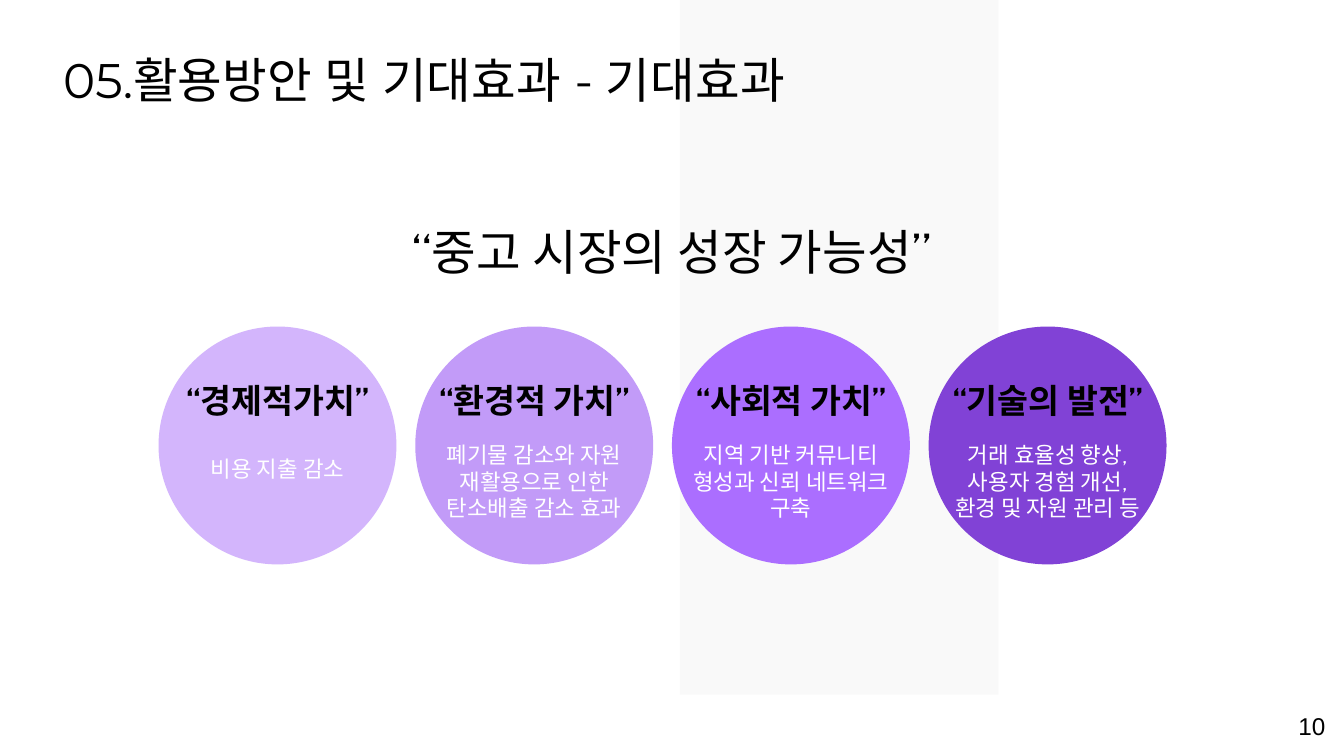
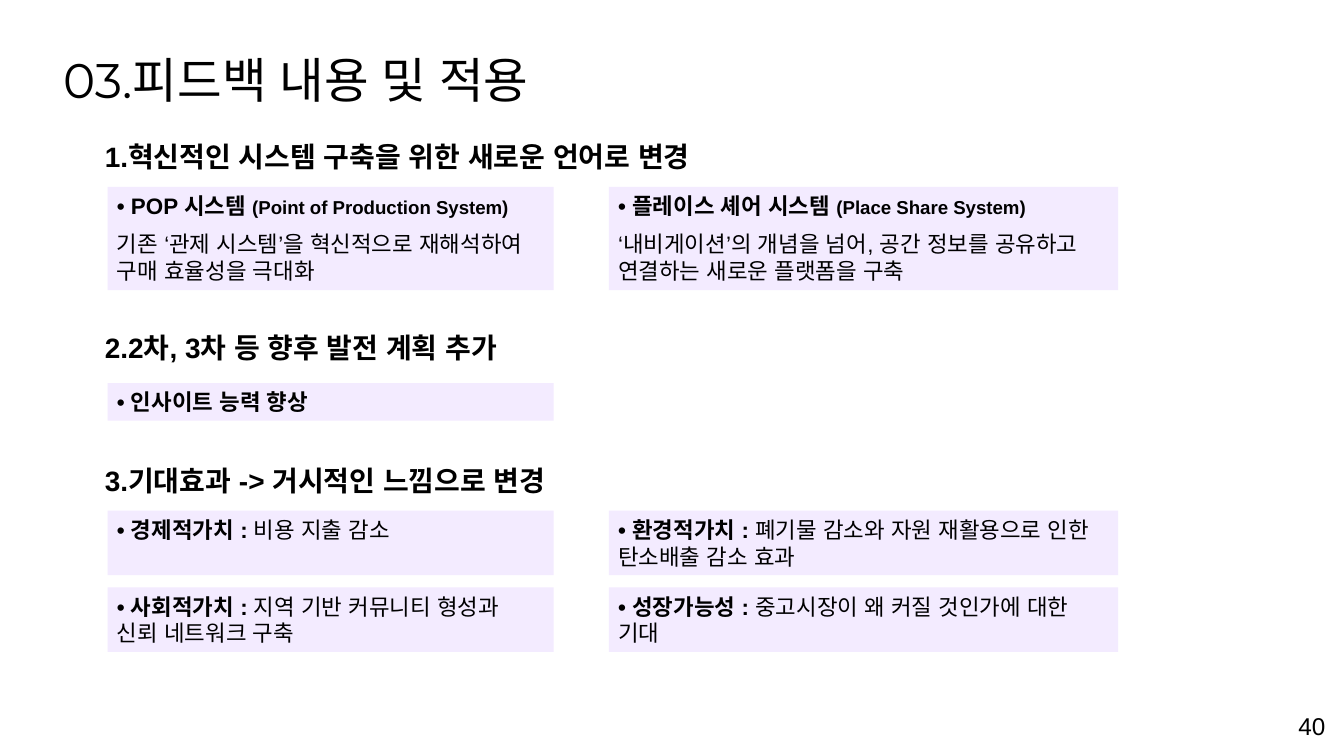
"""Builds two slides: the expected effects and the feedback applied."""
from lxml.etree import SubElement
from pptx import Presentation
from pptx.dml.color import RGBColor
from pptx.enum.shapes import MSO_SHAPE
from pptx.enum.text import MSO_ANCHOR, PP_ALIGN
from pptx.oxml.ns import qn
from pptx.util import Inches, Pt

COLORS = {
    "black": "000000", "white": "FFFFFF", "band": "F2F2F2", "panel": "F3EBFF",
    "economy": "D3B5FC", "environment": "C29BF8", "society": "AB6EFF", "technology": "8142D6",
}
TIGHT = (0.07, 0.04)
ROOMY = (0.1, 0.1)


def add_shape(s, kind, x, y, w, h, color):
    sp = s.shapes.add_shape(kind, Inches(x), Inches(y), Inches(w), Inches(h))
    sp.shadow.inherit = False
    sp.fill.solid()
    sp.fill.fore_color.rgb = RGBColor.from_string(COLORS[color])
    sp.line.fill.background()
    return sp


def write(sp, paragraphs, size, font="Arial", color="black", bold=False,
          align=PP_ALIGN.LEFT, anchor=MSO_ANCHOR.TOP, inset=TIGHT):
    tf = sp.text_frame
    tf.word_wrap = True
    tf.vertical_anchor = anchor
    tf.margin_left = tf.margin_right = Inches(inset[0])
    tf.margin_top = tf.margin_bottom = Inches(inset[1])
    for i, text in enumerate(paragraphs):
        p = tf.add_paragraph() if i else tf.paragraphs[0]
        p.text = text
        p.alignment = align
        p.font.name = font
        p.font.size = Pt(size)
        p.font.bold = bold
        p.font.color.rgb = RGBColor.from_string(COLORS[color])
        for script in ("a:ea", "a:cs", "a:sym"):
            SubElement(p.font._rPr, qn(script), typeface=font)
    return tf


prs = Presentation()
prs.slide_width = Inches(10)
prs.slide_height = prs.slide_width * 9 // 16
effects, feedback = [prs.slides.add_slide(prs.slide_layouts[6]) for _ in range(2)]

band = add_shape(effects, MSO_SHAPE.RECTANGLE, 5.06, 0, 2.37, 5.17, "band")
rgb = band.fill._xPr.find(qn("a:solidFill")).find(qn("a:srgbClr"))
SubElement(rgb, qn("a:alpha"), val="44000")

for s, title, number in [
    (effects, "05.활용방안 및 기대효과 - 기대효과", "10"),
    (feedback, "03.피드백 내용 및 적용", "40"),
]:
    sp = s.shapes.add_textbox(Inches(0.4), Inches(0.33), Inches(6.39), Inches(0.51))
    write(sp, [title], 26, "Montserrat")
    sp = s.shapes.add_textbox(Inches(9.36), Inches(5.19), Inches(0.6), Inches(0.43))
    write(sp, [number], 13, align=PP_ALIGN.RIGHT, inset=ROOMY)

centred = {"font": "Cabin", "align": PP_ALIGN.CENTER, "anchor": MSO_ANCHOR.MIDDLE, "inset": ROOMY}
sp = effects.shapes.add_textbox(Inches(1.3), Inches(1.46), Inches(7.4), Inches(0.81))
write(sp, ["“중고 시장의 성장 가능성”"], 26, **centred)

values = [
    ("economy", "“경제적가치”", 3.24, ["비용 지출 감소"]),
    ("environment", "“환경적 가치”", 3.33, ["폐기물 감소와 자원 재활용으로 인한 탄소배출 감소 효과"]),
    ("society", "“사회적 가치”", 3.33, ["지역 기반 커뮤니티 형성과 신뢰 네트워크 구축"]),
    ("technology", "“기술의 발전”", 3.33, ["거래 효율성 향상, 사용자 경험 개선,", "환경 및 자원 관리 등"]),
]
for i, (color, name, y, lines) in enumerate(values):
    x = 1.18 + 1.91 * i
    add_shape(effects, MSO_SHAPE.OVAL, x, 2.43, 1.77, 1.77, color)
    sp = effects.shapes.add_textbox(Inches(x - 0.14), Inches(2.73), Inches(2.05), Inches(0.5))
    write(sp, [name], 18, bold=True, **centred)
    sp = effects.shapes.add_textbox(Inches(x), Inches(y), Inches(1.77), Inches(0.5))
    write(sp, lines, 12, color="white", **centred)

for y, heading in [
    (1, "1.혁신적인 시스템 구축을 위한 새로운 언어로 변경"),
    (2.42, "2.2차, 3차 등 향후 발전 계획 추가"),
    (3.41, "3.기대효과 -> 거시적인 느낌으로 변경"),
]:
    sp = feedback.shapes.add_textbox(Inches(0.71), Inches(y), Inches(5.11), Inches(0.33))
    write(sp, [heading], 15, bold=True)

columns = [(0.8, 3.32), (4.53, 3.79)]
panels = [
    (0, 1.39, 0.77, "• POP 시스템 ", "(Point of Production System)",
     "기존 ‘관제 시스템’을 혁신적으로 재해석하여 구매 효율성을 극대화"),
    (1, 1.39, 0.77, "• 플레이스 셰어 시스템 ", "(Place Share System)",
     "‘내비게이션’의 개념을 넘어, 공간 정보를 공유하고 연결하는 새로운 플랫폼을 구축"),
    (0, 2.85, 0.28, "• 인사이트 능력 향상", "", ""),
    (0, 3.8, 0.48, "• 경제적가치 : ", "비용 지출 감소", ""),
    (1, 3.8, 0.48, "• 환경적가치 : ", "폐기물 감소와 자원 재활용으로 인한 탄소배출 감소 효과", ""),
    (0, 4.37, 0.48, "• 사회적가치 : ", "지역 기반 커뮤니티 형성과 신뢰 네트워크 구축", ""),
    (1, 4.37, 0.48, "• 성장가능성 : ", "중고시장이 왜 커질 것인가에 대한 기대", ""),
]
for column, y, h, label, detail, body in panels:
    x, w = columns[column]
    sp = add_shape(feedback, MSO_SHAPE.RECTANGLE, x, y, w, h, "panel")
    tf = write(sp, [label, body] if body else [label], 12, bold=True)
    if detail:
        r = tf.paragraphs[0].add_run()
        r.text = detail
        if body:
            r.font.size = Pt(10)
        else:
            r.font.bold = False
    if body:
        p = tf.paragraphs[1]
        p.space_before = Pt(6)
        p.font.bold = False

prs.save("out.pptx")
